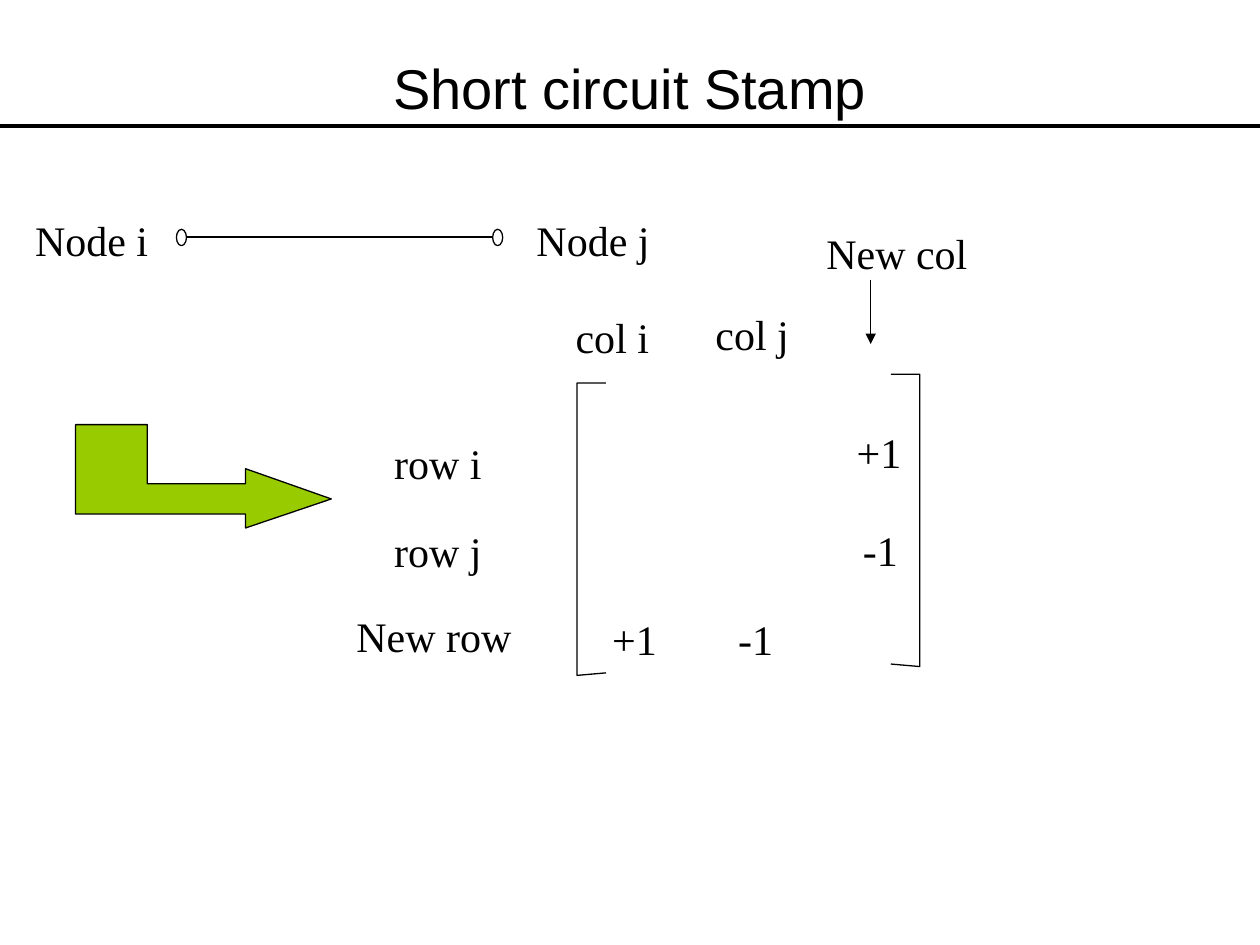
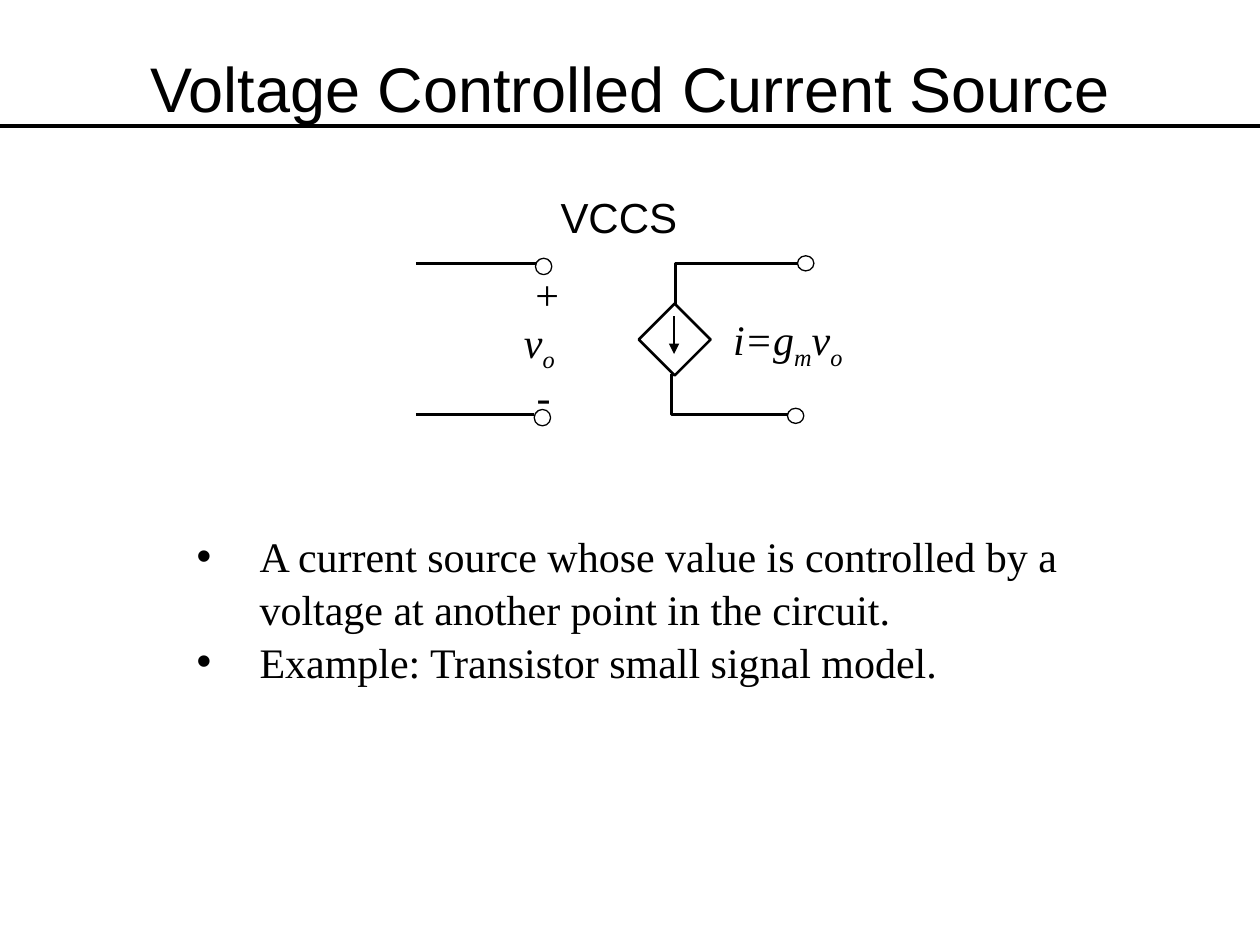
from lxml import etree
from pptx import Presentation
from pptx.dml.color import RGBColor
from pptx.enum.shapes import MSO_CONNECTOR, MSO_SHAPE
from pptx.enum.text import MSO_ANCHOR, MSO_AUTO_SIZE, PP_ALIGN
from pptx.oxml.ns import qn
from pptx.util import Inches, Pt

COLORS = {"ink": "000000", "paper": "FFFFFF", "arrow": "99CC00"}
SANS, SERIF = "Arial", "Times New Roman"
CENTER, LEFT = PP_ALIGN.CENTER, PP_ALIGN.LEFT
MIDDLE, TOP = MSO_ANCHOR.MIDDLE, MSO_ANCHOR.TOP
NO_AUTOFIT = MSO_AUTO_SIZE.NONE
STRAIGHT = MSO_CONNECTOR.STRAIGHT
ELLIPSE, DIAMOND = MSO_SHAPE.OVAL, MSO_SHAPE.DIAMOND
TITLE_AND_BODY, TITLE_ONLY = 1, 5
THIN, MEDIUM, THICK = 0.75, 1.5, 2.25
LABEL_HEIGHT = 0.5


def rgb(name):
    return RGBColor.from_string(COLORS[name])


def write_text(text_frame, *paragraphs, font=SERIF, size=24, italic=False,
               align=LEFT, anchor=TOP, wrap=True, bullet=None, spacing=1.05):
    """Each paragraph is a string, or a tuple alternating normal and subscript runs."""
    text_frame.word_wrap = wrap
    text_frame.auto_size = NO_AUTOFIT
    text_frame.vertical_anchor = anchor
    for index, parts in enumerate(paragraphs):
        paragraph = text_frame.add_paragraph() if index else text_frame.paragraphs[0]
        paragraph.alignment = align
        paragraph.space_before = Pt(0)
        paragraph.line_spacing = spacing
        if bullet:
            properties = paragraph._p.get_or_add_pPr()
            properties.set("marL", str(Inches(0.5)))
            properties.set("indent", str(-Inches(0.5)))
            etree.SubElement(properties, qn("a:buChar")).set("char", bullet)
        for position, part in enumerate((parts,) if isinstance(parts, str) else parts):
            run = paragraph.add_run()
            run.text = part
            run.font.name = font
            run.font.size = Pt(size)
            run.font.italic = italic
            run.font.color.rgb = rgb("ink")
            if position % 2:
                run._r.get_or_add_rPr().set("baseline", "-25000")


def add_label(slide, text, left, top, width, height=LABEL_HEIGHT, **text_format):
    text_box = slide.shapes.add_textbox(
        Inches(left), Inches(top), Inches(width), Inches(height))
    write_text(text_box.text_frame, text, wrap=False, **text_format)


def add_line(slide, start, end, weight=THIN, arrow=False):
    connector = slide.shapes.add_connector(
        STRAIGHT, *(Inches(value) for value in (*start, *end)))
    connector.line.color.rgb = rgb("ink")
    connector.line.width = Pt(weight)
    if arrow:
        line = connector.line._get_or_add_ln()
        etree.SubElement(line, qn("a:tailEnd")).set("type", "triangle")
    etree.SubElement(connector._element.spPr, qn("a:effectLst"))


def style_outline(shape, weight, fill):
    shape.shadow.inherit = False
    shape.line.color.rgb = rgb("ink")
    shape.line.width = Pt(weight)
    if fill:
        shape.fill.solid()
        shape.fill.fore_color.rgb = rgb(fill)
    else:
        shape.fill.background()


def add_preset(slide, kind, left, top, width, height, weight=THIN, fill=None):
    shape = slide.shapes.add_shape(
        kind, Inches(left), Inches(top), Inches(width), Inches(height))
    style_outline(shape, weight, fill)


def add_outline(slide, left, top, points, weight=THIN, fill=None):
    """Draw points relative to (left, top); a filled outline is closed."""
    first, *others = [(Inches(left + x), Inches(top + y)) for x, y in points]
    builder = slide.shapes.build_freeform(*first)
    builder.add_line_segments(others, close=fill is not None)
    style_outline(builder.convert_to_shape(), weight, fill)


def place(shape, left, top, width, height):
    shape.left, shape.top = Inches(left), Inches(top)
    shape.width, shape.height = Inches(width), Inches(height)


def start_slide(presentation, layout, title, title_size):
    slide = presentation.slides.add_slide(presentation.slide_layouts[layout])
    place(slide.shapes.title, 0.5, 0.3, 9, 0.75)
    write_text(slide.shapes.title.text_frame, title, font=SANS, size=title_size,
               align=CENTER, anchor=MIDDLE)
    add_line(slide, (0, 1), (10, 1), THICK)
    return slide


def draw_short_circuit(slide, left, top):
    """Two nodes joined by a wire, which is laid in two overlapping pieces."""
    wire = top + 0.25
    for start, end in ((1.27, 3.21), (2.97, 3.77)):
        add_line(slide, (left + start, wire), (left + end, wire))
    for terminal in (1.22, 3.73):
        add_preset(slide, ELLIPSE, left + terminal, top + 0.19, 0.08, 0.13, fill="paper")
    for name, offset in (("Node i", 0), ("Node j", 3.98)):
        add_label(slide, name, left + offset, top, 1.1)


def draw_bent_arrow(slide, left, top):
    add_outline(slide, left, top, [
        (0, 0), (0.57, 0), (0.57, 0.47), (1.35, 0.47), (1.35, 0.35),
        (2.03, 0.59), (1.35, 0.82), (1.35, 0.71), (0, 0.71)], fill="arrow")


def draw_stamp_matrix(slide, left, top):
    labels = [
        ("col i", 1.74, 0.66, 0.78), ("col j", 2.85, 0.64, 0.78),
        ("New col", 3.73, 0, 1.32),
        ("row i", 0.3, 1.66, 0.89), ("row j", 0.3, 2.36, 0.89),
        ("New row", 0, 3.04, 1.43),
        ("+1", 3.97, 1.58, 0.55), ("-1", 4.02, 2.35, 0.48),
        ("+1", 2.03, 3.06, 0.55), ("-1", 3.03, 3.06, 0.48),
    ]
    for text, x, y, width in labels:
        add_label(slide, text, left + x, top + y, width)
    add_line(slide, (left + 4.18, top + 0.48), (left + 4.18, top + 0.99), arrow=True)
    for x, y, depth in ((1.85, 1.3, -0.23), (4.57, 1.23, 0.23)):
        spine = max(depth, 0)
        tip = spine - depth
        add_outline(slide, left + x - min(depth, 0) - 0.23, top + y,
                    [(tip, 0), (spine, 0), (spine, 2.32), (tip, 2.3)])


def draw_controlling_port(slide, left, top):
    for y, wire_end in ((0.04, 0.95), (1.24, 0.94)):
        add_line(slide, (left, top + y), (left + wire_end, top + y), MEDIUM)
    for x, y in ((0.95, 0), (0.94, 1.2)):
        add_preset(slide, ELLIPSE, left + x, top + y, 0.13, 0.13, fill="paper")
    add_label(slide, "+", left + 0.85, top + 0.01, 0.39)
    add_label(slide, "-", left + 0.86, top + 0.82, 0.31)
    add_label(slide, ("v", "o"), left + 0.76, top + 0.39, 0.44, 0.56, italic=True)


def draw_controlled_source(slide, left, top):
    add_preset(slide, DIAMOND, left, top + 0.38, 0.57, 0.57, MEDIUM)
    add_line(slide, (left + 0.28, top + 0.48), (left + 0.28, top + 0.78), arrow=True)
    add_outline(slide, left + 0.29, top + 0.06, [(0, 0.32), (0, 0), (0.97, 0)], MEDIUM)
    add_outline(slide, left + 0.26, top + 0.94, [(0, 0), (0, 0.32), (0.93, 0.32)], MEDIUM)
    for x, y in ((1.26, 0), (1.18, 1.21)):
        add_preset(slide, ELLIPSE, left + x, top + y, 0.13, 0.12, fill="paper")
    add_label(slide, ("i=g", "m", "v", "o"), left + 0.65, top + 0.39, 1.07, 0.56,
              italic=True)


def build_short_circuit_slide(presentation):
    slide = start_slide(presentation, TITLE_ONLY, "Short circuit Stamp", 32)
    draw_short_circuit(slide, 0.18, 1.63)
    draw_bent_arrow(slide, 0.6, 3.37)
    draw_stamp_matrix(slide, 2.73, 1.74)


def build_current_source_slide(presentation):
    slide = start_slide(presentation, TITLE_AND_BODY,
                        "Voltage Controlled Current Source", 36)
    add_label(slide, "VCCS", 4.35, 1.45, 1.12, font=SANS)
    draw_controlling_port(slide, 3.3, 2.05)
    draw_controlled_source(slide, 5.07, 2.03)
    body = slide.placeholders[1]
    place(body, 1.46, 4.14, 7.12, 1.3)
    write_text(
        body.text_frame,
        "A current source whose value is controlled by a voltage at another point"
        " in the circuit.",
        "Example: Transistor small signal model.",
        bullet="•")


def main():
    presentation = Presentation()
    presentation.slide_width, presentation.slide_height = Inches(10), Inches(7.5)
    build_short_circuit_slide(presentation)
    build_current_source_slide(presentation)
    presentation.save("out.pptx")


if __name__ == "__main__":
    main()
